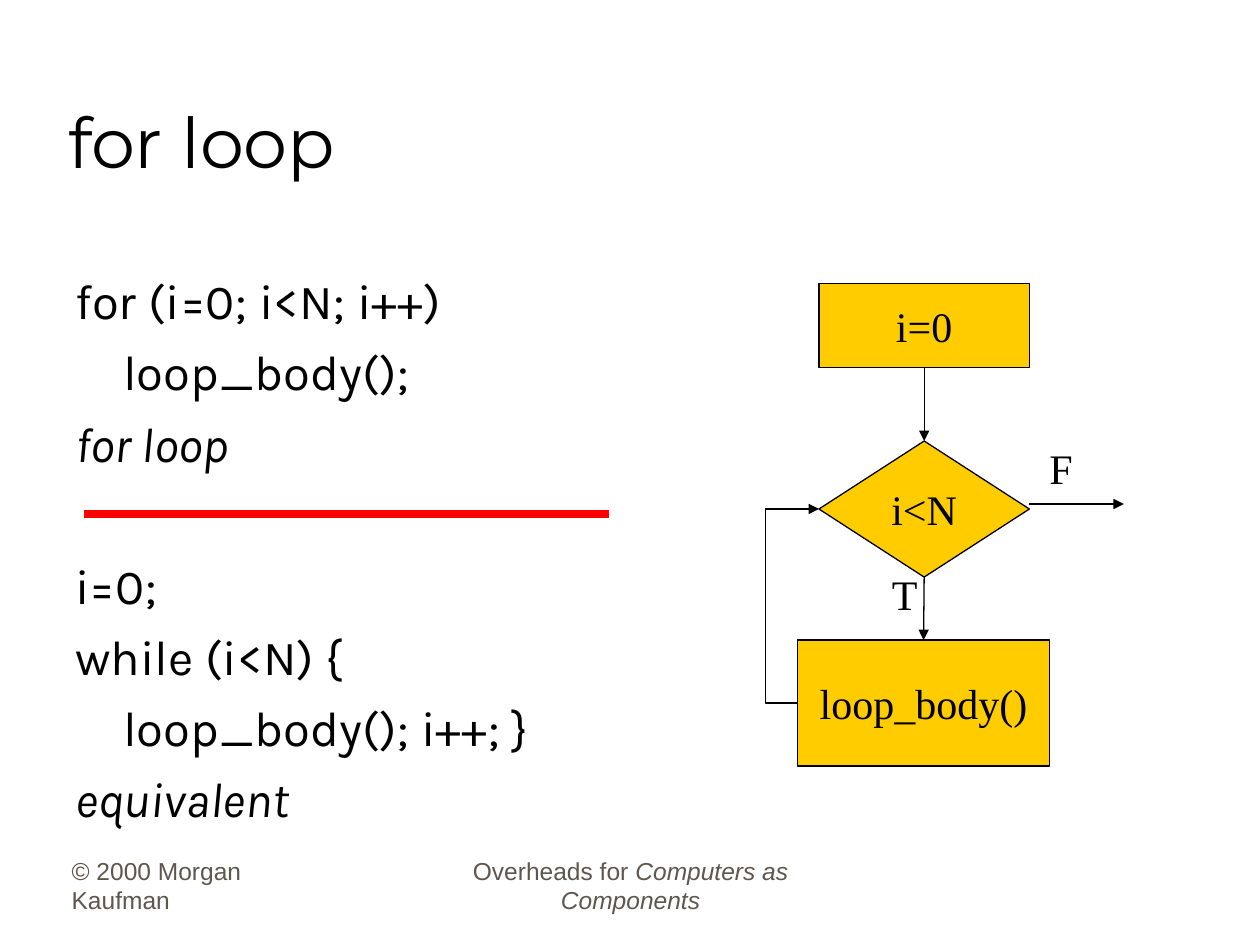
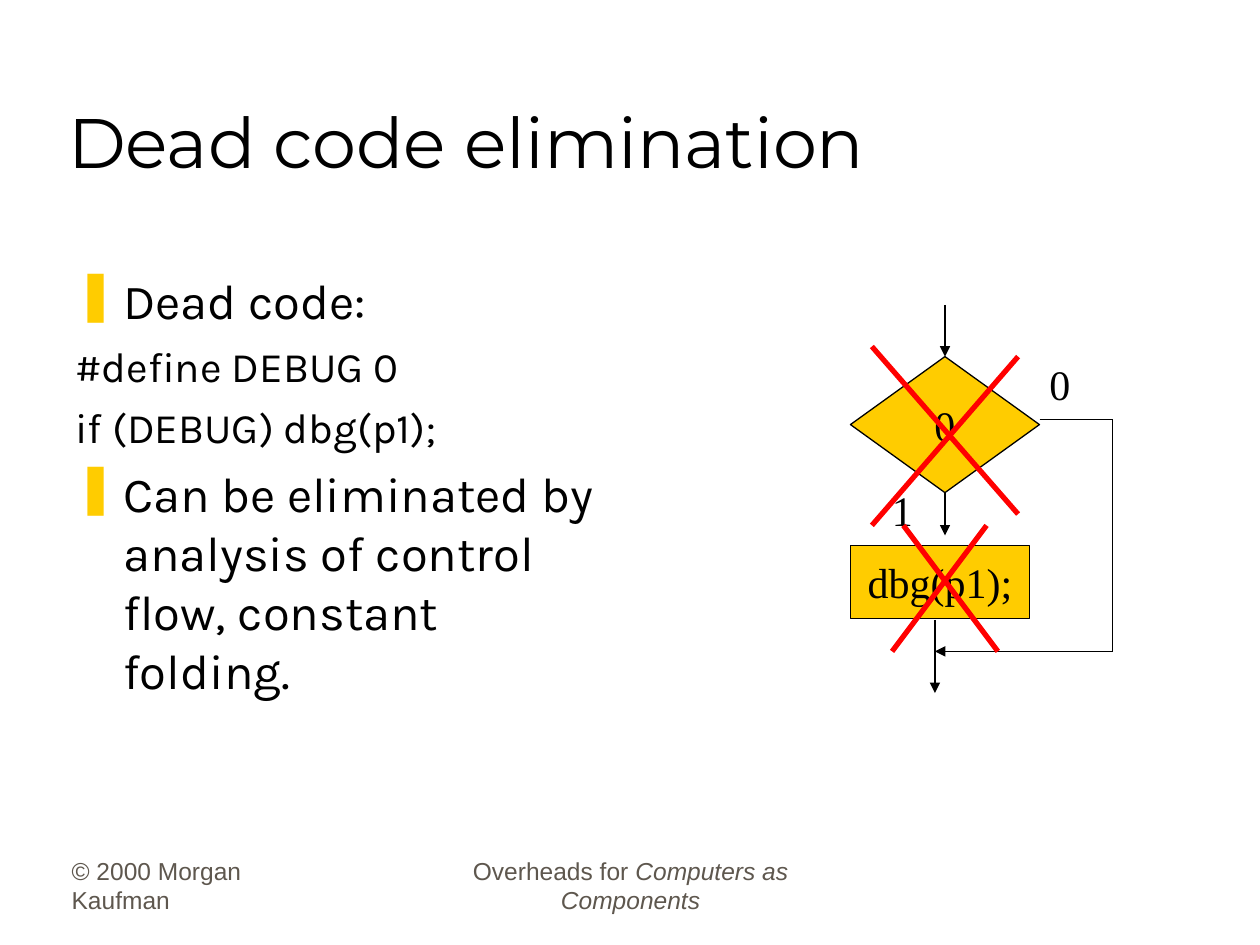
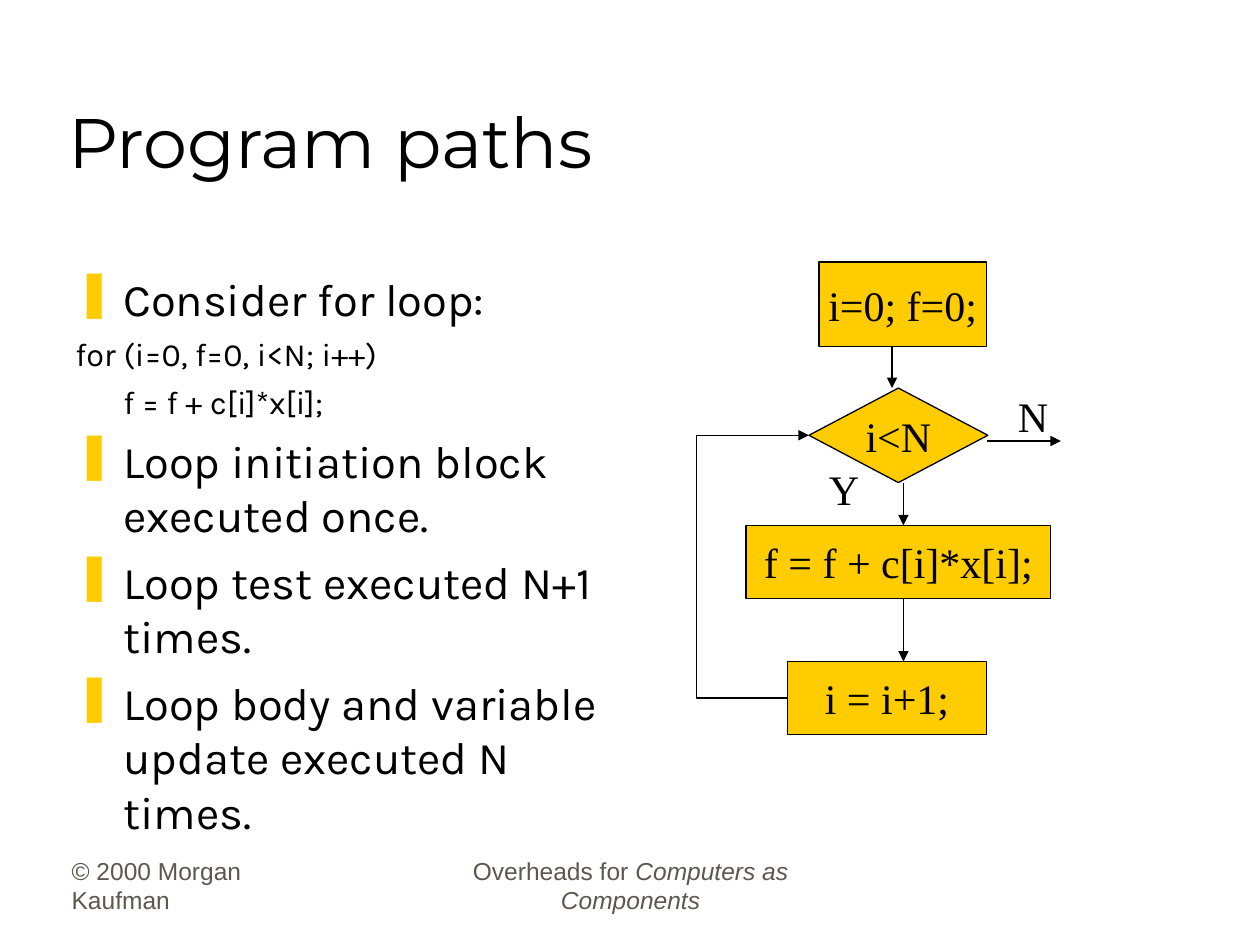
from lxml import etree
from pptx import Presentation
from pptx.dml.color import RGBColor
from pptx.enum.shapes import MSO_CONNECTOR as LINK, MSO_SHAPE as SHAPE
from pptx.enum.text import MSO_ANCHOR as ANCHOR, MSO_AUTO_SIZE as FIT, PP_ALIGN as ALIGN
from pptx.oxml.ns import qn
from pptx.util import Inches, Pt

COLORS = {"ink": "000000", "amber": "FFCC00", "red": "FF0000", "footer": "5E574E"}
TITLE = {"name": "Montserrat", "size": Pt(40)}
FOOTER = {"name": "Arial", "size": Pt(14)}
DIAGRAM = {"name": "Times New Roman", "size": Pt(24)}
TITLE_PLACE = {"left": Inches(0.44), "top": Inches(0.25), "width": Inches(8.5), "height": Inches(1.25)}
TITLE_FRAME = {"vertical_anchor": ANCHOR.BOTTOM, "auto_size": FIT.NONE, "word_wrap": True}
BODY_FRAME = {"word_wrap": True, "margin_top": Inches(0.09)}
FOOTER_FRAME = {"word_wrap": True, "vertical_anchor": ANCHOR.BOTTOM}
NODE_FRAME = {"word_wrap": False, "vertical_anchor": ANCHOR.MIDDLE}
INDENT = Inches(0.38)
HANGING = {"bullet": -INDENT, "code": -INDENT, "nested": 0}
FOOTERS = [
    (0.47, 2.08, ALIGN.LEFT, [("© 2000 Morgan Kaufman", False)]),
    (3.42, 3.17, ALIGN.CENTER, [("Overheads for ", False), ("Computers as Components", True)]),
]

SLIDES = [
    {
        "title": "for loop",
        "body": [
            ("for (i=0; i<N; i++)", "code", 28, 0, False),
            ("loop_body();", "nested", 28, 7, False),
            ("for loop", "code", 28, 7, True),
            ("i=0;", "code", 28, 47.6, False),
            ("while (i<N) {", "code", 28, 7, False),
            ("loop_body(); i++; }", "nested", 28, 7, False),
            ("equivalent", "code", 28, 7, True),
        ],
        "nodes": {
            "test": (SHAPE.DIAMOND, 6.5, 3.5, 1.67, 1.08, "i<N"),
            "loop": (SHAPE.RECTANGLE, 6.33, 5.08, 2, 1, "loop_body()"),
            "init": (SHAPE.RECTANGLE, 6.5, 2.25, 1.67, 0.67, "i=0"),
        },
        "labels": [("T", 6.98, 4.46, 0.4), ("F", 8.23, 3.46, 0.38)],
        "flows": [
            (7.33, 2.92, 7.33, 3.5, True, "init", "test"),
            (7.33, 4.58, 7.33, 5.08, True, "test", "loop"),
            (8.17, 4, 8.92, 4, True, None, None),
        ],
        "loop_back": ("loop", "test", -1.5),
        "strokes": [(0.67, 4.08, 4.83, 4.08, 4.5)],
    },
    {
        "title": "Dead code elimination",
        "body": [
            ("Dead code:", "bullet", 28, 0, False),
            ("#define DEBUG 0", "code", 24, 6, False),
            ("if (DEBUG) dbg(p1);", "code", 24, 6, False),
            ("Can be eliminated by analysis of control flow, constant folding.", "bullet", 28, 7, False),
        ],
        "nodes": {
            "test": (SHAPE.DIAMOND, 6.75, 2.83, 1.5, 1.08, "0"),
            "debug": (SHAPE.RECTANGLE, 6.75, 4.33, 1.42, 0.58, "dbg(p1);"),
        },
        "labels": [("1", 6.98, 3.8, 0.36), ("0", 8.23, 2.8, 0.36)],
        "flows": [
            (7.5, 3.92, 7.5, 4.25, True, "test", None),
            (7.5, 2.42, 7.5, 2.83, True, None, "test"),
            (7.42, 4.92, 7.42, 5.5, True, None, None),
            (8.25, 3.33, 8.83, 3.33, False, None, None),
            (8.83, 3.33, 8.83, 5.17, False, None, None),
            (8.83, 5.17, 7.42, 5.17, True, None, None),
        ],
        "loop_back": None,
        "strokes": [
            (7.08, 5.17, 7.83, 4.17, 3),
            (7.92, 5.17, 7.17, 4.17, 3),
            (6.92, 4.17, 8.08, 2.83, 3),
            (8.08, 4.08, 6.92, 2.75, 3),
        ],
    },
    {
        "title": "Program paths",
        "body": [
            ("Consider for loop:", "bullet", 25.9, 0, False),
            ("for (i=0, f=0, i<N; i++)", "code", 18.5, 5, False),
            ("f = f + c[i]*x[i];", "nested", 18.5, 5, False),
            ("Loop initiation block executed once.", "bullet", 25.9, 7, False),
            ("Loop test executed N+1 times.", "bullet", 25.9, 7, False),
            ("Loop body and variable update executed N times.", "bullet", 25.9, 7, False),
        ],
        "nodes": {
            "test": (SHAPE.FLOWCHART_DECISION, 6.42, 3.08, 1.42, 0.75, "i<N"),
            "init": (SHAPE.RECTANGLE, 6.5, 2.08, 1.33, 0.67, "i=0; f=0;"),
            "sum": (SHAPE.RECTANGLE, 5.92, 4.17, 2.42, 0.58, "f = f + c[i]*x[i];"),
            "update": (SHAPE.RECTANGLE, 6.25, 5.25, 1.58, 0.58, "i = i+1;"),
        },
        "labels": [("N", 7.98, 3.05, 0.44), ("Y", 6.48, 3.63, 0.44)],
        "flows": [
            (7.08, 2.75, 7.08, 3.08, True, None, None),
            (7.17, 3.83, 7.17, 4.17, True, None, None),
            (7.17, 4.75, 7.17, 5.25, True, None, None),
            (7.83, 3.5, 8.42, 3.5, True, None, None),
        ],
        "loop_back": ("update", "test", -4.26),
        "strokes": [],
    },
]


def write(paragraph, text, color, font_values, italic=False):
    run = paragraph.add_run()
    run.text = text
    for name, value in font_values.items():
        setattr(run.font, name, value)
    run.font.italic = italic
    run.font.color.rgb = RGBColor.from_string(COLORS[color])


def finish_line(connector, color, width, arrow):
    connector.line.color.rgb = RGBColor.from_string(COLORS[color])
    connector.line.width = Pt(width)
    if arrow:
        etree.SubElement(connector.line._get_or_add_ln(), qn("a:tailEnd"), type="triangle")
    etree.SubElement(connector._element.spPr, qn("a:effectLst"))


deck = Presentation()
deck.slide_width, deck.slide_height = Inches(10), Inches(7.5)
title_only = deck.slide_layouts[5]

for content in SLIDES:
    slide = deck.slides.add_slide(title_only)
    shapes = slide.shapes

    for left, width, align, runs in FOOTERS:
        footer = shapes.add_textbox(Inches(left), Inches(6.81), Inches(width), Inches(0.5)).text_frame
        for name, value in FOOTER_FRAME.items():
            setattr(footer, name, value)
        footer.paragraphs[0].alignment = align
        for text, italic in runs:
            write(footer.paragraphs[0], text, "footer", FOOTER, italic)

    title = shapes.title
    for name, value in TITLE_PLACE.items():
        setattr(title, name, value)
    for name, value in TITLE_FRAME.items():
        setattr(title.text_frame, name, value)
    title.text_frame.paragraphs[0].alignment = ALIGN.LEFT
    write(title.text_frame.paragraphs[0], content["title"], "ink", TITLE)

    body = shapes.add_textbox(Inches(0.5), Inches(2.06), Inches(4.39), Inches(4.56)).text_frame
    for name, value in BODY_FRAME.items():
        setattr(body, name, value)
    for index, (text, kind, size, space, italic) in enumerate(content["body"]):
        paragraph = body.add_paragraph() if index else body.paragraphs[0]
        properties = paragraph._p.get_or_add_pPr()
        properties.set("marL", str(INDENT))
        properties.set("indent", str(HANGING[kind]))
        if kind == "bullet":
            bullet_color = etree.SubElement(properties, qn("a:buClr"))
            etree.SubElement(bullet_color, qn("a:srgbClr"), val=COLORS["amber"])
            etree.SubElement(properties, qn("a:buChar"), char="❚")
        if space:
            paragraph.space_before = Pt(space)
        write(paragraph, text, "ink", {"name": "Karla", "size": Pt(size)}, italic)

    nodes = {}
    for key, (outline, left, top, width, height, text) in content["nodes"].items():
        node = shapes.add_shape(outline, Inches(left), Inches(top), Inches(width), Inches(height))
        node.shadow.inherit = False
        node.fill.solid()
        node.fill.fore_color.rgb = RGBColor.from_string(COLORS["amber"])
        node.line.color.rgb = RGBColor.from_string(COLORS["ink"])
        node.line.width = Pt(0.75)
        for name, value in NODE_FRAME.items():
            setattr(node.text_frame, name, value)
        node.text_frame.paragraphs[0].alignment = ALIGN.CENTER
        write(node.text_frame.paragraphs[0], text, "ink", DIAGRAM)
        nodes[key] = node

    for text, left, top, width in content["labels"]:
        label = shapes.add_textbox(Inches(left), Inches(top), Inches(width), Inches(0.5)).text_frame
        label.word_wrap = False
        write(label.paragraphs[0], text, "ink", DIAGRAM)

    for x1, y1, x2, y2, arrow, source, target in content["flows"]:
        flow = shapes.add_connector(LINK.STRAIGHT, Inches(x1), Inches(y1), Inches(x2), Inches(y2))
        if source:
            flow.begin_connect(nodes[source], 2)
        if target:
            flow.end_connect(nodes[target], 0)
        finish_line(flow, "ink", 0.75, arrow)

    if content["loop_back"]:
        source, target, bend = content["loop_back"]
        start, end = nodes[source], nodes[target]
        loop_back = shapes.add_connector(
            LINK.ELBOW, start.left, start.top + start.height // 2, end.left, end.top + end.height // 2)
        loop_back.begin_connect(start, 1)
        loop_back.end_connect(end, 1)
        guides = loop_back._element.spPr.find(qn("a:prstGeom")).get_or_add_avLst()
        etree.SubElement(guides, qn("a:gd"), name="adj1", fmla=f"val {round(bend * 100000)}")
        finish_line(loop_back, "ink", 0.75, True)

    for x1, y1, x2, y2, width in content["strokes"]:
        stroke = shapes.add_connector(LINK.STRAIGHT, Inches(x1), Inches(y1), Inches(x2), Inches(y2))
        finish_line(stroke, "red", width, False)

deck.save("out.pptx")
